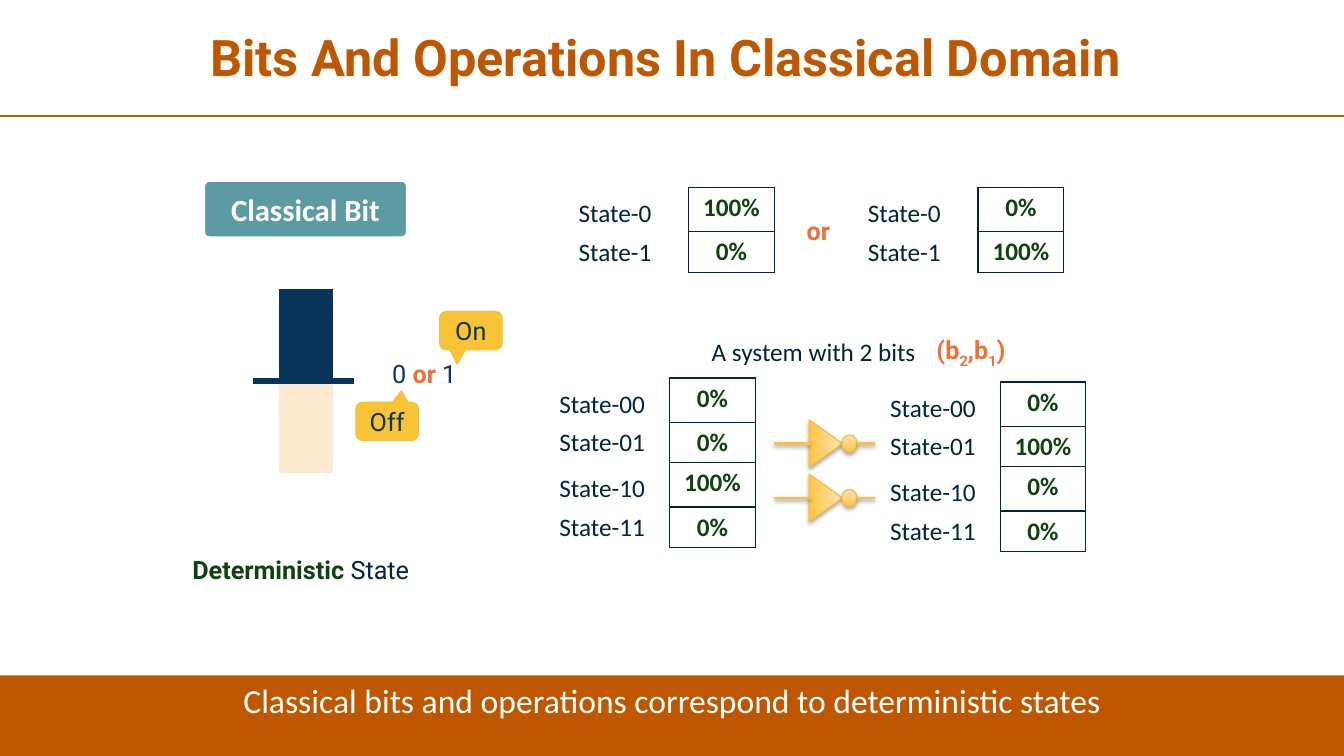
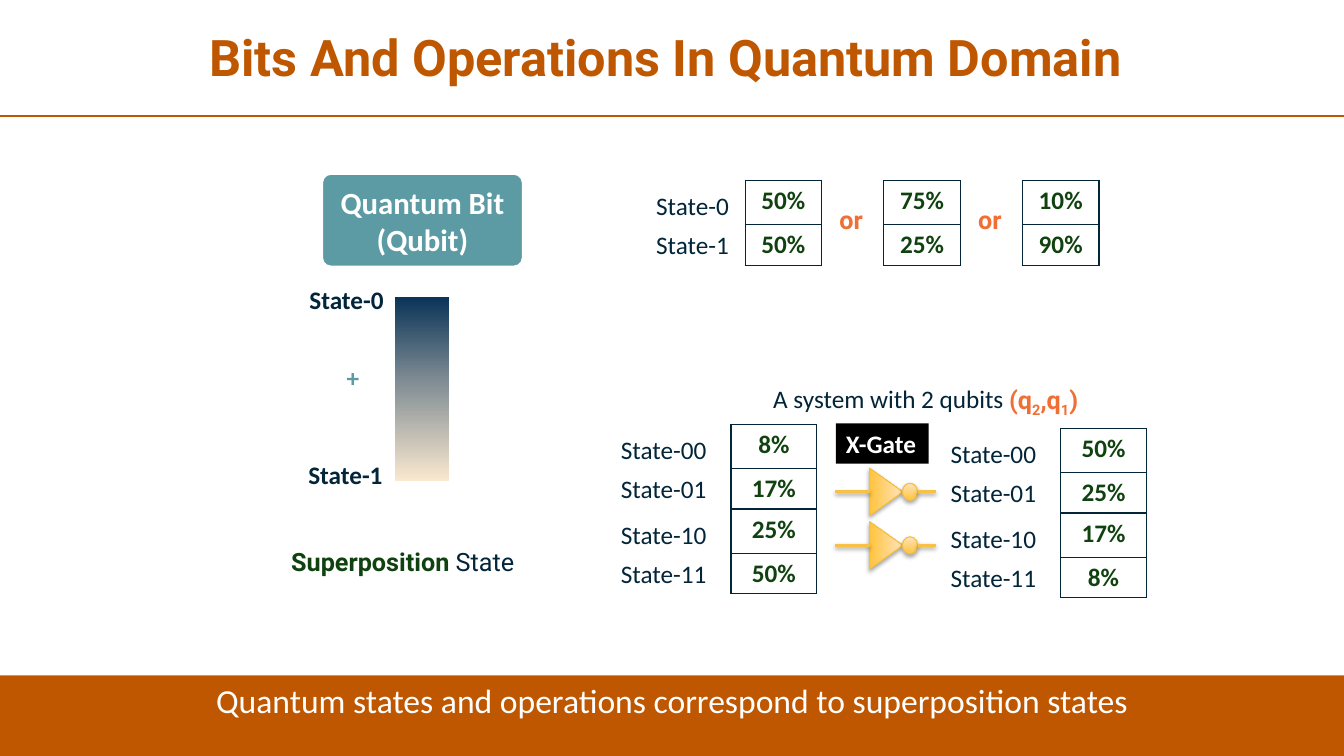
from lxml import etree
from pptx import Presentation
from pptx.dml.color import RGBColor
from pptx.enum.shapes import MSO_CONNECTOR, MSO_SHAPE
from pptx.enum.text import MSO_ANCHOR, MSO_AUTO_SIZE, PP_ALIGN
from pptx.oxml.ns import qn
from pptx.util import Inches, Pt

CENTER, LEFT = PP_ALIGN.CENTER, PP_ALIGN.LEFT
TOP, MIDDLE = MSO_ANCHOR.TOP, MSO_ANCHOR.MIDDLE
FIT_SHAPE, NO_FIT = MSO_AUTO_SIZE.SHAPE_TO_FIT_TEXT, MSO_AUTO_SIZE.NONE
RECTANGLE, ROUNDED = MSO_SHAPE.RECTANGLE, MSO_SHAPE.ROUNDED_RECTANGLE
CALLOUT = MSO_SHAPE.ROUNDED_RECTANGULAR_CALLOUT
TRIANGLE, OVAL = MSO_SHAPE.ISOSCELES_TRIANGLE, MSO_SHAPE.OVAL
STRAIGHT = MSO_CONNECTOR.STRAIGHT

COLORS = {
    "title": "BE5700", "band": "BF5700", "teal": "5C9BA4", "white": "FFFFFF",
    "black": "000000", "navy": "08345A", "digit": "0B3559", "cream": "FCE9CF",
    "ink": "022539", "green": "104210", "accent": "F06F34",
    "callout": "F8C335", "gold": "F6BE3F", "wire": "F7C145",
}
GATE_STOPS = [(0, "FFC43D"), (100, "FFE3BD")]
QUBIT_STOPS = [(0, "FBE9D0"), (53, "838F95"), (99, "0B3559")]
SANS, ROBOTO = "Calibri", "Roboto"
SLIDE_WIDTH, SLIDE_HEIGHT = 13.33, 7.5
ROW_HEIGHTS = (0.44, 0.4)
PAIR_HEIGHT = sum(ROW_HEIGHTS)
ACCENT = {"color": "accent", "bold": True}
STRONG = {"color": "green", "bold": True}
SUBSCRIPT = {"subscript": True}


def rgb(name):
    return RGBColor.from_string(COLORS[name])


def inches(*lengths):
    return [Inches(length) for length in lengths]


def write(frame, runs, align=LEFT, anchor=TOP, **style):
    """Fill a text frame; runs is a string or (text, overrides) pairs."""
    frame.vertical_anchor = anchor
    para = frame.paragraphs[0]
    para.alignment = align
    for text, changes in [(runs, {})] if isinstance(runs, str) else runs:
        add_span(para, text, **{**style, **changes})
    return para


def add_span(para, text, size=18, font=SANS, color="ink", bold=False,
             subscript=False):
    span = para.add_run()
    span.text = text
    span.font.size = Pt(size)
    span.font.name = font
    span.font.bold = bold
    span.font.color.rgb = rgb(color)
    if subscript:
        span._r.get_or_add_rPr().set("baseline", "-25000")


def add_label(page, runs, left, top, width, fill=None, **style):
    box = page.shapes.add_textbox(*inches(left, top, width, 0.4))
    box.text_frame.word_wrap = False
    box.text_frame.auto_size = FIT_SHAPE
    if fill:
        box.fill.solid()
        box.fill.fore_color.rgb = rgb(fill)
    write(box.text_frame, runs, **style)


def set_gradient(fill, owner, stops):
    """Shade from bottom to top; stops are (percent, hex) pairs."""
    fill.gradient()
    fill.gradient_angle = 90
    stop_list = owner.find(qn("a:gradFill")).find(qn("a:gsLst"))
    for stop in list(stop_list):
        stop_list.remove(stop)
    for percent, color in stops:
        stop = etree.SubElement(stop_list, qn("a:gs"), pos=str(percent * 1000))
        etree.SubElement(stop, qn("a:srgbClr"), val=color)


def set_shadow(item, opacity=0, distance=0):
    """Replace the theme shadow with a soft one below, or with none."""
    properties = item._element.spPr
    effects = properties.find(qn("a:effectLst"))
    if effects is None:
        effects = etree.SubElement(properties, qn("a:effectLst"))
    if opacity:
        shadow = etree.SubElement(
            effects, qn("a:outerShdw"), blurRad=str(Pt(3.1)),
            dist=str(Pt(distance)), dir="5400000", rotWithShape="0")
        color = etree.SubElement(shadow, qn("a:srgbClr"), val=COLORS["black"])
        etree.SubElement(color, qn("a:alpha"), val=str(opacity * 1000))


def add_line(page, start, end, color, width, **shadow):
    line = page.shapes.add_connector(STRAIGHT, *inches(*start, *end))
    line.line.color.rgb = rgb(color)
    line.line.width = Pt(width)
    set_shadow(line, **shadow)


def add_shape(page, kind, left, top, width, height, fill=None, line=None,
              line_width=0.75, adjustments=()):
    shape = page.shapes.add_shape(kind, *inches(left, top, width, height))
    shape.shadow.inherit = False
    for index, value in enumerate(adjustments):
        shape.adjustments[index] = value
    if fill:
        shape.fill.solid()
        shape.fill.fore_color.rgb = rgb(fill)
    if line:
        shape.line.color.rgb = rgb(line)
        shape.line.width = Pt(line_width)
    else:
        shape.line.fill.background()
    return shape


def add_badge(page, text, left, top, width, height):
    badge = add_shape(page, ROUNDED, left, top, width, height, fill="teal",
                      line="white", line_width=2, adjustments=[0.1])
    write(badge.text_frame, text, align=CENTER, anchor=MIDDLE, size=22,
          color="white", bold=True)


def add_callout(page, text, left, top, pointer):
    callout = add_shape(page, CALLOUT, left, top, 0.62, 0.38, fill="callout",
                        line="gold", adjustments=[*pointer, 0.17])
    frame = callout.text_frame
    frame.margin_left = frame.margin_right = 0
    write(frame, text, align=CENTER, anchor=MIDDLE, font=ROBOTO, color="digit")


def set_borders(cell, color):
    properties = cell._tc.get_or_add_tcPr()
    for index, side in enumerate(("lnL", "lnR", "lnT", "lnB")):
        border = etree.Element(qn(f"a:{side}"), w=str(Pt(1)))
        fill = etree.SubElement(border, qn("a:solidFill"))
        etree.SubElement(fill, qn("a:srgbClr"), val=COLORS[color])
        properties.insert(index, border)


def add_column(page, left, top, width, heights, border):
    """Add a one-column table and return its cells."""
    frame = page.shapes.add_table(
        len(heights), 1, *inches(left, top, width, sum(heights)))
    table = frame.table
    table.first_row = table.horz_banding = False
    for row, height in zip(table.rows, heights):
        row.height = Inches(height)
    cells = [row.cells[0] for row in table.rows]
    for cell in cells:
        cell.fill.background()
        set_borders(cell, border)
    return cells


def add_states(page, left, top, values, labels=(), width=0.85, offset=1.19):
    """Add two probabilities, with state names offset to their left."""
    for cell, value in zip(add_column(page, left, top, width, ROW_HEIGHTS,
                                      "ink"), values):
        write(cell.text_frame, value, align=CENTER, **STRONG)
    for index, label in enumerate(labels):
        add_label(page, f"State-{label}", left - offset,
                  top + 0.05 + index * 0.385, 0.8 + 0.135 * len(label))


def add_two_bit_states(page, left, top, values):
    for index, first_bit in enumerate("01"):
        add_states(page, left, top + index * PAIR_HEIGHT,
                   values[2 * index:2 * index + 2],
                   [first_bit + "0", first_bit + "1"])


def add_or(page, left, top):
    add_label(page, " or", left, top, 0.52, font=ROBOTO, **ACCENT)


def add_bit_names(page, letter, left, top):
    runs = [(f"({letter}", {}), ("2", SUBSCRIPT), (f",{letter}", {}),
            ("1", SUBSCRIPT), (")", {})]
    add_label(page, runs, left, top, 0.93, font=ROBOTO, **ACCENT)


def add_state_kind(page, kind, left, top, width):
    add_label(page, [(kind, STRONG), (" State", {})], left, top, width,
              font=ROBOTO)


def add_not_gate(page, left, middle):
    triangle_width, triangle_height = 0.47, 0.33
    triangle = add_shape(page, TRIANGLE, left + 0.51 - triangle_width / 2,
                         middle - triangle_height / 2, triangle_width,
                         triangle_height, line="gold")
    triangle.rotation = 90
    bubble = add_shape(page, OVAL, left + 0.67, middle - 0.085, 0.15, 0.17,
                       line="gold")
    for part in (triangle, bubble):
        set_gradient(part.fill, part._element.spPr, GATE_STOPS)
        set_shadow(part, opacity=35, distance=1.8)
    for start, end in ((0, 0.35), (0.82, 1)):
        add_line(page, (left + start, middle), (left + end, middle), "wire", 2,
                 opacity=38, distance=1.6)


def add_page(deck, title, message):
    """Add a slide with the shared title, rule and bottom band."""
    page = deck.slides.add_slide(deck.slide_layouts[5])
    add_line(page, (0, 1.15), (SLIDE_WIDTH, 1.15), "band", 1.5)
    heading = page.shapes.title
    heading.left, heading.top, heading.width, heading.height = inches(
        0.09, 0.04, 13.15, 1.11)
    heading.text_frame.auto_size = NO_FIT
    para = write(heading.text_frame, title, align=CENTER, anchor=MIDDLE,
                 size=36, font=ROBOTO, color="title", bold=True)
    para.line_spacing = 0.9
    band = add_shape(page, RECTANGLE, 0, 6.7, SLIDE_WIDTH, 0.8, fill="band")
    write(band.text_frame, message, align=CENTER, size=24, color="white")
    return page


def add_classical_page(deck):
    page = add_page(
        deck, "Bits And Operations In Classical Domain ",
        "Classical bits and operations correspond to deterministic states")
    add_badge(page, "Classical Bit", 2.02, 1.79, 2.02, 0.57)
    bit_cells = add_column(page, 2.76, 2.86, 0.55, (0.92, 0.92), "white")
    for cell, color in zip(bit_cells, ("navy", "cream")):
        cell.fill.solid()
        cell.fill.fore_color.rgb = rgb(color)
    add_line(page, (2.51, 3.78), (3.51, 3.78), "navy", 4.5)
    add_state_kind(page, "Deterministic", 1.81, 5.45, 2.46)
    add_label(page, [("0", {}), (" or ", ACCENT), ("1", {})], 3.79, 3.51, 0.88,
              font=ROBOTO, color="digit")
    add_callout(page, "On", 4.36, 3.09, (-0.22, 0.88))
    add_callout(page, "Off", 3.53, 3.99, (0.23, -0.8))

    add_states(page, 6.83, 1.86, ("100%", "0%"), "01")
    add_or(page, 7.84, 2.09)
    add_states(page, 9.7, 1.86, ("0%", "100%"), "01")

    add_label(page, "A system with 2 bits", 6.96, 3.29, 2.26)
    add_bit_names(page, "b", 9.19, 3.27)
    add_two_bit_states(page, 6.64, 3.75, ("0%", "0%", "100%", "0%"))
    add_two_bit_states(page, 9.92, 3.79, ("0%", "100%", "0%", "0%"))
    for middle in (4.4, 4.94):
        add_not_gate(page, 7.68, middle)


def add_quantum_page(deck):
    page = add_page(
        deck, "Bits And Operations In Quantum Domain ",
        "Quantum states and operations correspond to superposition states")
    add_badge(page, "Quantum Bit (Qubit)", 3.19, 1.72, 2, 0.93)
    qubit_cell = add_column(page, 3.91, 2.94, 0.55, (1.84,), "white")[0]
    set_gradient(qubit_cell.fill, qubit_cell._tc.tcPr, QUBIT_STOPS)
    add_state_kind(page, "Superposition", 2.79, 5.37, 2.56)
    add_label(page, "State-0", 2.97, 2.77, 0.95, bold=True)
    add_label(page, "+", 3.34, 3.55, 0.33, color="teal", bold=True)
    add_label(page, "State-1", 2.96, 4.51, 0.95, bold=True)

    examples = (("50%", "50%"), ("75%", "25%"), ("10%", "90%"))
    for index, values in enumerate(examples):
        left = 7.39 + index * 1.375
        add_states(page, left, 1.79, values, "" if index else "01",
                   width=0.76, offset=0.98)
        if index:
            add_or(page, left - 0.6, 1.98)

    add_label(page, "A system with 2 qubits", 7.57, 3.75, 2.52)
    add_bit_names(page, "q", 9.91, 3.76)
    add_two_bit_states(page, 7.25, 4.21, ("8%", "17%", "25%", "50%"))
    add_two_bit_states(page, 10.52, 4.25, ("50%", "25%", "17%", "8%"))
    for middle in (4.88, 5.41):
        add_not_gate(page, 8.28, middle)
    add_label(page, "X-Gate", 8.29, 4.2, 0.92, fill="black", color="white",
              bold=True)


def main():
    deck = Presentation()
    deck.slide_width, deck.slide_height = inches(SLIDE_WIDTH, SLIDE_HEIGHT)
    add_classical_page(deck)
    add_quantum_page(deck)
    deck.save("out.pptx")


if __name__ == "__main__":
    main()
